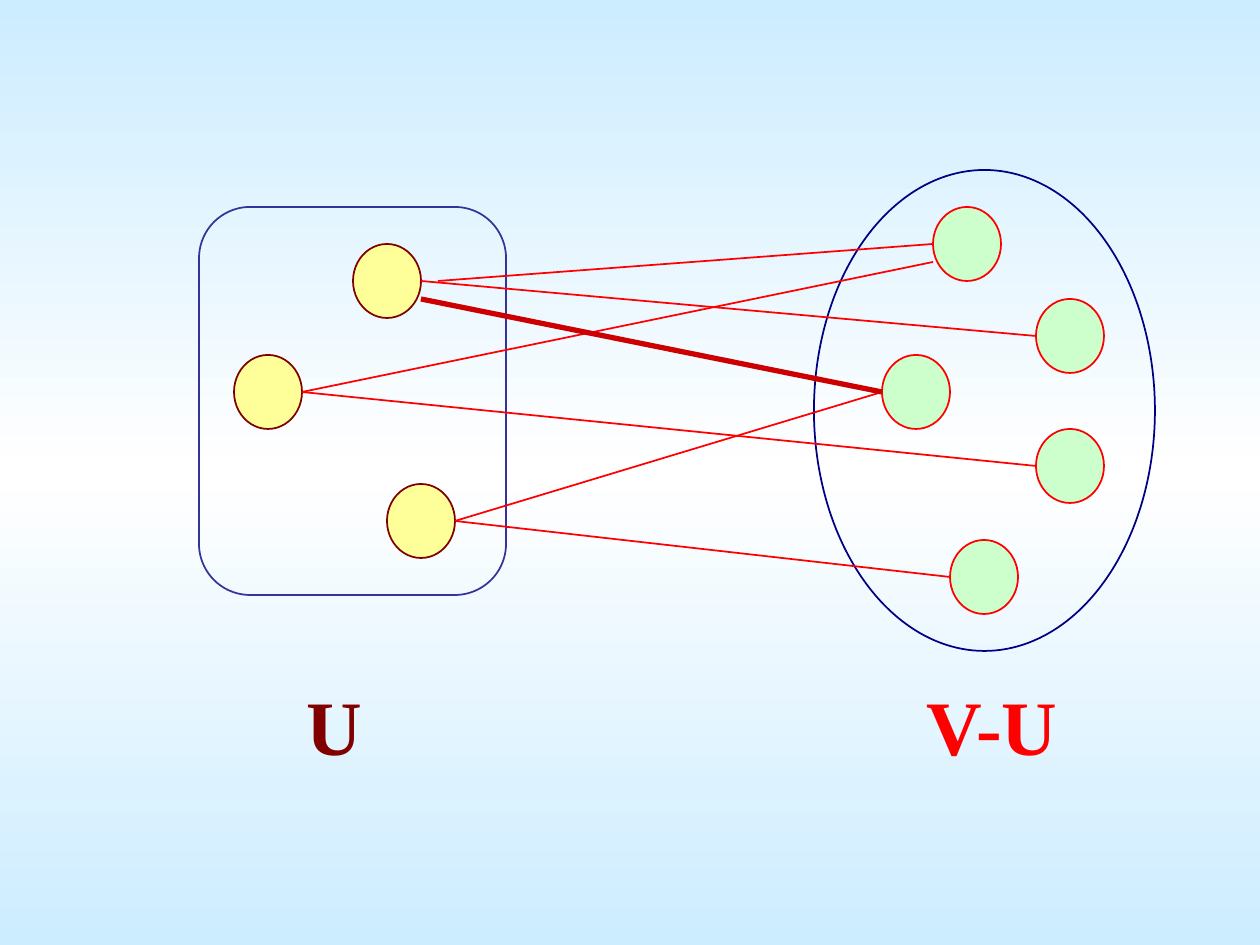
from copy import deepcopy
from pptx import Presentation
from pptx.dml.color import RGBColor
from pptx.enum.shapes import MSO_CONNECTOR as CONNECTOR, MSO_SHAPE as SHAPE
from pptx.enum.text import MSO_AUTO_SIZE as AUTO_SIZE
from pptx.oxml.ns import qn
from pptx.util import Pt

PX = 914400 / 126
THEME = {
    "sky": "CCECFF", "white": "FFFFFF",
    "u_border": "333399", "rest_border": "000082",
    "u_fill": "FFFF99", "u_line": "800000",
    "rest_fill": "CCFFCC", "rest_line": "FF0000",
    "edge": "FF0000", "light_edge": "CC0000",
    "font": "Times New Roman", "label_size": 44,
    "thin": 1, "thick": 3,
}


def px(*lengths):
    return [round(length * PX) for length in lengths]


def color(name):
    return RGBColor.from_string(THEME[name])


presentation = Presentation()
presentation.slide_width, presentation.slide_height = px(1260, 945)
slide = presentation.slides.add_slide(presentation.slide_layouts[6])

background = slide.background.fill
background.gradient()
background.gradient_angle = 270
first_stop = next(slide.element.iter(qn("a:gs")))
first_stop.addnext(deepcopy(first_stop))
for stop, (position, name) in zip(
    background.gradient_stops, [(0, "sky"), (0.5, "white"), (1, "sky")]
):
    stop.position = position
    stop.color.rgb = color(name)

NODE_WIDTH, NODE_HEIGHT = 68, 74
u_nodes = [(353, 244), (234, 355), (387, 484)]
rest_nodes = [(933, 207), (1036, 299), (950, 540), (882, 355), (1036, 429)]

outlines = [
    (SHAPE.ROUNDED_RECTANGLE, (199, 207, 307, 388), None, "u_border"),
    (SHAPE.OVAL, (814, 170, 341, 481), None, "rest_border"),
]
for nodes, fill, line in [
    (u_nodes, "u_fill", "u_line"),
    (rest_nodes, "rest_fill", "rest_line"),
]:
    for left, top in nodes:
        outlines.append((SHAPE.OVAL, (left, top, NODE_WIDTH, NODE_HEIGHT), fill, line))

for kind, box, fill, line in outlines:
    shape = slide.shapes.add_shape(kind, *px(*box))
    shape.shadow.inherit = False
    if fill:
        shape.fill.solid()
        shape.fill.fore_color.rgb = color(fill)
    else:
        shape.fill.background()
    shape.line.color.rgb = color(line)
    shape.line.width = Pt(THEME["thin"])

edges = [
    (0, 0, (17, 0), 0, "edge", "thin"),
    (1, 4, (0, 0), 0, "edge", "thin"),
    (2, 2, (0, 0), 0, "edge", "thin"),
    (2, 3, (0, 0), 0, "edge", "thin"),
    (0, 1, (0, 0), 0, "edge", "thin"),
    (1, 0, (0, 0), 18, "edge", "thin"),
    (0, 3, (0, 18), 0, "edge", "thin"),
    (0, 3, (0, 18), 0, "light_edge", "thick"),
]
for u_index, rest_index, (shift_x, shift_y), end_shift, name, weight in edges:
    u_left, u_top = u_nodes[u_index]
    rest_left, rest_top = rest_nodes[rest_index]
    connector = slide.shapes.add_connector(
        CONNECTOR.STRAIGHT,
        *px(
            u_left + NODE_WIDTH + shift_x,
            u_top + NODE_HEIGHT / 2 + shift_y,
            rest_left,
            rest_top + NODE_HEIGHT / 2 + end_shift,
        ),
    )
    connector.line.color.rgb = color(name)
    connector.line.width = Pt(THEME[weight])
    properties = connector._element.spPr
    properties.append(properties.makeelement(qn("a:effectLst"), {}))

for text, box, name in [
    ("U", (294, 672, 81, 106), "u_line"),
    ("V-U", (914, 672, 161, 106), "rest_line"),
]:
    label = slide.shapes.add_textbox(*px(*box))
    label.text_frame.word_wrap = False
    label.text_frame.auto_size = AUTO_SIZE.SHAPE_TO_FIT_TEXT
    paragraph = label.text_frame.paragraphs[0]
    run = paragraph.add_run()
    run.text = text
    run.font.color.rgb = color(name)
    format_values = {"name": THEME["font"], "size": Pt(THEME["label_size"]), "bold": True}
    for attribute, value in format_values.items():
        setattr(run.font, attribute, value)

presentation.save("out.pptx")
